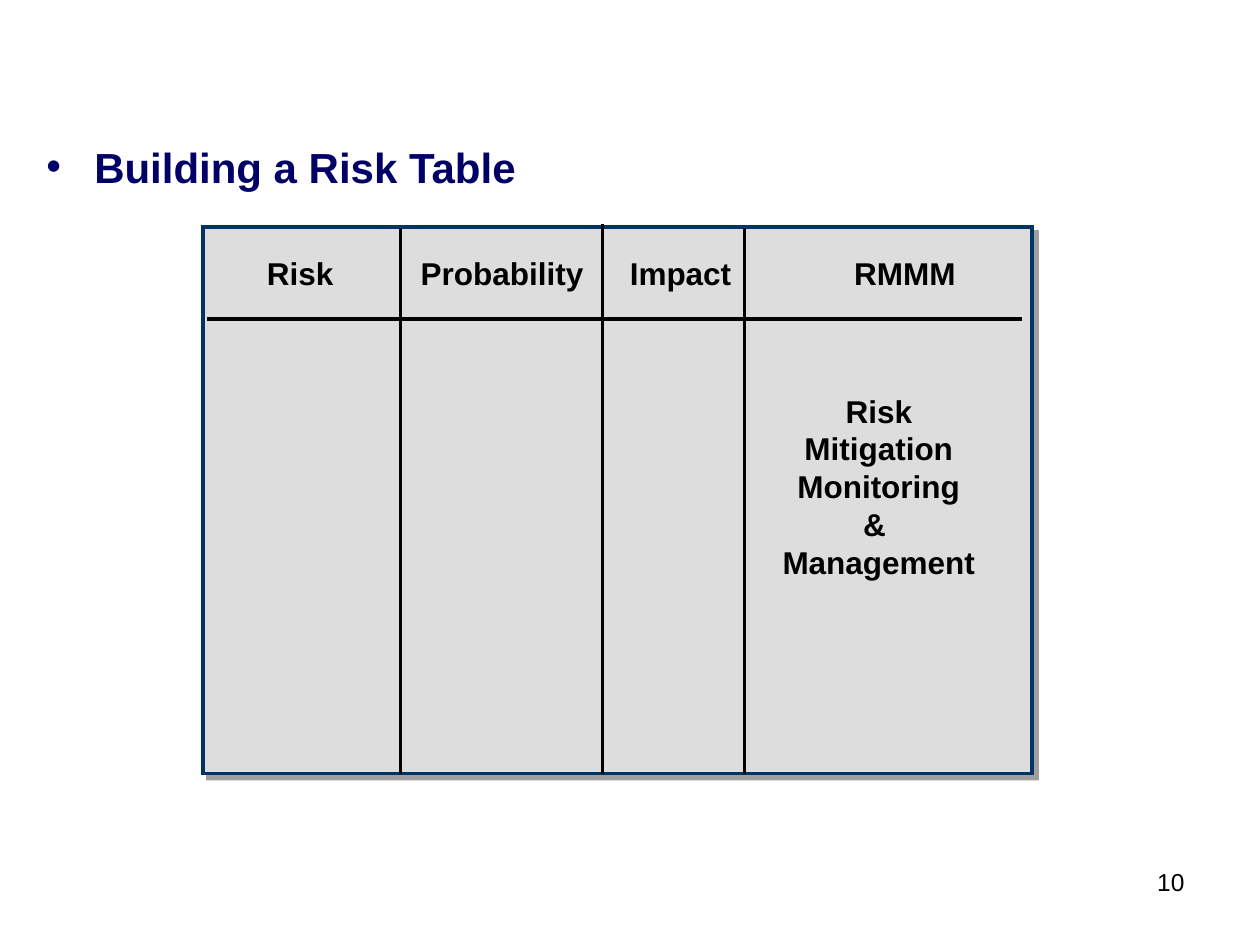
from lxml.etree import SubElement
from pptx import Presentation
from pptx.dml.color import RGBColor
from pptx.enum.shapes import MSO_CONNECTOR, MSO_SHAPE
from pptx.enum.text import MSO_ANCHOR, MSO_AUTO_SIZE, PP_ALIGN
from pptx.oxml import parse_xml
from pptx.oxml.ns import nsdecls, qn
from pptx.util import Inches, Pt

BLACK = RGBColor(0x00, 0x00, 0x00)
NAVY = RGBColor(0x00, 0x00, 0x66)
BORDER = RGBColor(0x00, 0x33, 0x66)
PANEL = RGBColor(0xDD, 0xDD, 0xDD)
SHADOW = RGBColor(0x80, 0x80, 0x80)


class RiskPage:
    """Holds the style and the current slide, and draws each kind of element."""

    font_name = "Arial"
    line_width = Pt(2)

    def __init__(self, page):
        self.page = page

    def text(self, left, top, width, height, lines, size=18, color=BLACK,
             bold=True, align=PP_ALIGN.LEFT, wrap=False, bullet=False):
        box = self.page.shapes.add_textbox(
            Inches(left), Inches(top), Inches(width), Inches(height))
        frame = box.text_frame
        frame.word_wrap = wrap
        frame.vertical_anchor = MSO_ANCHOR.TOP
        frame.auto_size = MSO_AUTO_SIZE.NONE if wrap else MSO_AUTO_SIZE.SHAPE_TO_FIT_TEXT
        for index, line in enumerate(lines):
            para = frame.add_paragraph() if index else frame.paragraphs[0]
            para.alignment = align
            if bullet:
                self.bullet(para, color)
            span = para.add_run()
            span.text = line
            span.font.name = self.font_name
            span.font.size = Pt(size)
            span.font.bold = bold
            span.font.color.rgb = color

    def bullet(self, para, color, indent=0.38):
        properties = para._p.get_or_add_pPr()
        properties.set("marL", str(Inches(indent)))
        properties.set("indent", str(-Inches(indent)))
        bullet_color = SubElement(properties, qn("a:buClr"))
        SubElement(bullet_color, qn("a:srgbClr")).set("val", str(color))
        SubElement(properties, qn("a:buFont")).set("typeface", self.font_name)
        SubElement(properties, qn("a:buChar")).set("char", "•")

    def panel(self, left, top, width, height):
        panel = self.page.shapes.add_shape(
            MSO_SHAPE.RECTANGLE,
            Inches(left), Inches(top), Inches(width), Inches(height))
        panel.shadow.inherit = False
        panel.fill.solid()
        panel.fill.fore_color.rgb = PANEL
        panel.line.color.rgb = BORDER
        panel.line.width = self.line_width
        properties = panel._element.spPr
        SubElement(properties.find(qn("a:ln")), qn("a:miter")).set("lim", "800000")
        properties.find(qn("a:effectLst")).append(parse_xml(
            f'<a:outerShdw {nsdecls("a")} blurRad="0" dist="{Pt(4.2)}" '
            f'dir="2700000" algn="ctr" rotWithShape="0">'
            f'<a:srgbClr val="{SHADOW}"><a:alpha val="75000"/></a:srgbClr>'
            f'</a:outerShdw>'))

    def rule(self, x1, y1, x2, y2):
        rule = self.page.shapes.add_connector(
            MSO_CONNECTOR.STRAIGHT,
            Inches(x1), Inches(y1), Inches(x2), Inches(y2))
        rule.line.color.rgb = BLACK
        rule.line.width = self.line_width
        SubElement(rule._element.spPr, qn("a:effectLst"))


def main():
    deck = Presentation()
    deck.slide_width = Inches(10)
    deck.slide_height = Inches(7.5)
    risk = RiskPage(deck.slides.add_slide(deck.slide_layouts[6]))

    risk.text(7.44, 6.83, 2.06, 0.52, ["10"], size=14, bold=False,
              align=PP_ALIGN.RIGHT, wrap=True)
    risk.text(0.27, 1.07, 9, 0.95, ["Building a Risk Table"], size=24,
              color=NAVY, wrap=True, bullet=True)

    risk.panel(1.61, 1.8, 6.58, 4.34)
    for x, top in ((3.18, 1.81), (4.78, 1.78), (5.91, 1.81)):
        risk.rule(x, top, x, 6.14)
    risk.rule(1.64, 2.53, 8.11, 2.53)

    headers = (("Risk", 2.02, 0.73), ("Probability", 3.24, 1.49),
               ("Impact", 4.9, 1.02), ("RMMM", 6.68, 1.02))
    for label, left, width in headers:
        risk.text(left, 1.97, width, 0.4, [label])
    risk.text(6.11, 3.06, 1.73, 1.6,
              ["Risk", "Mitigation", "Monitoring", "& ", "Management"],
              align=PP_ALIGN.CENTER)

    deck.save("out.pptx")


if __name__ == "__main__":
    main()
